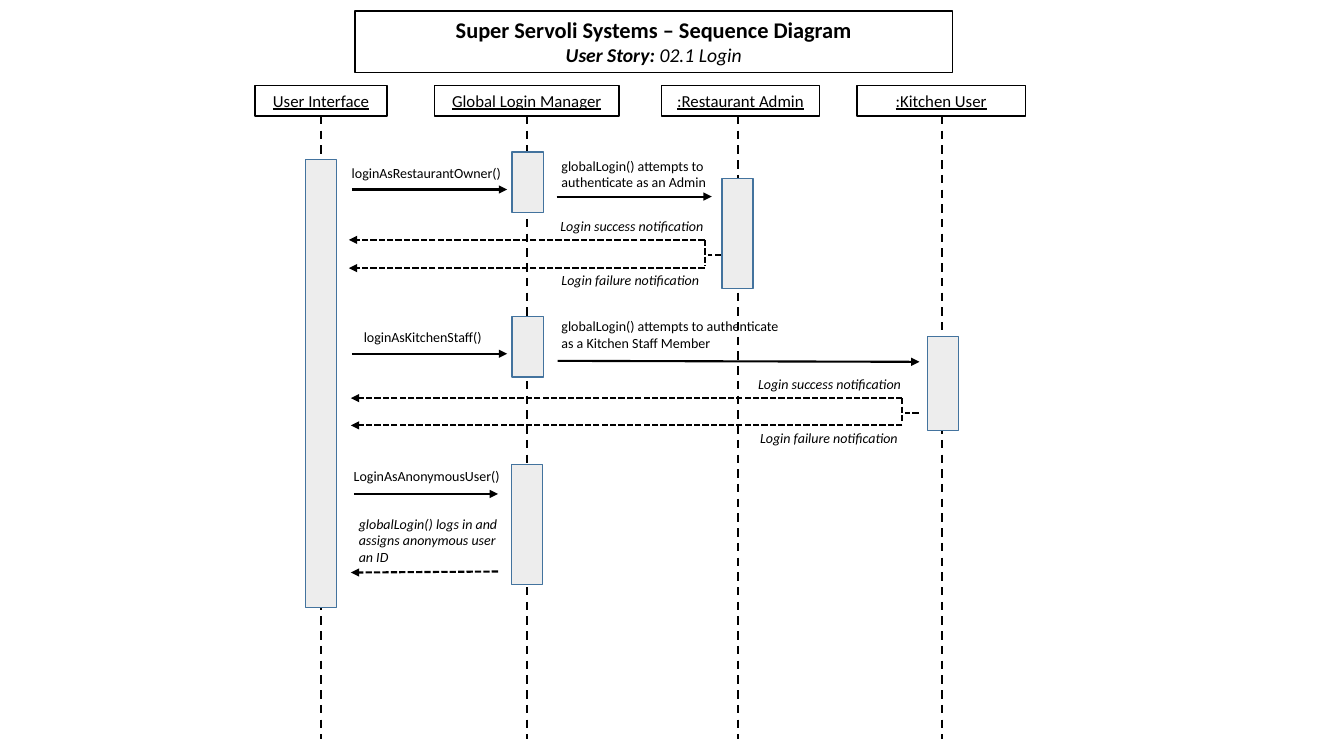
from pptx import Presentation
from pptx.dml.color import RGBColor
from pptx.enum.dml import MSO_LINE
from pptx.enum.shapes import MSO_CONNECTOR, MSO_SHAPE
from pptx.enum.text import MSO_ANCHOR, PP_ALIGN
from pptx.oxml.ns import qn
from pptx.util import Inches, Pt
from lxml import etree

BLACK = RGBColor(0x00, 0x00, 0x00)
BAR_FILL = RGBColor(0xED, 0xED, 0xED)
BAR_LINE = RGBColor(0x43, 0x73, 0x9E)
FONT = "Calibri"
RECTANGLE = MSO_SHAPE.RECTANGLE
STRAIGHT = MSO_CONNECTOR.STRAIGHT
LONG_DASH = MSO_LINE.DASH
SHORT_DASH = MSO_LINE.SQUARE_DOT
CENTER = PP_ALIGN.CENTER
TOP = MSO_ANCHOR.TOP

deck = Presentation()
deck.slide_width = Inches(13.33)
deck.slide_height = Inches(7.5)
page = deck.slides.add_slide(deck.slide_layouts[6])


def add_line(start, end, dash=None, arrow=False):
    """Draw a straight black line, optionally dashed or with an arrowhead."""
    points = [Inches(value) for value in (*start, *end)]
    line = page.shapes.add_connector(STRAIGHT, *points)
    line.line.color.rgb = BLACK
    line.line.width = Pt(1.5)
    if dash:
        line.line.dash_style = dash
    if arrow:
        etree.SubElement(line.line._get_or_add_ln(), qn("a:tailEnd"), type="triangle")
    etree.SubElement(line._element.spPr, qn("a:effectLst"))


def add_text(paragraph, text, size, bold=False, italic=False, underline=False):
    """Append one formatted run to a paragraph."""
    span = paragraph.add_run()
    span.text = text
    span.font.name = FONT
    span.font.size = Pt(size)
    span.font.color.rgb = BLACK
    span.font.bold = bold
    span.font.italic = italic
    span.font.underline = underline


# Title and participant headers: left, top, width, height, spans
headers = [
    (2.53, 0.85, 1.31, 0.3, "User Interface"),
    (4.31, 0.85, 1.83, 0.3, "Global Login Manager"),
    (6.56, 0.85, 1.57, 0.3, ":Restaurant Admin"),
    (8.5, 0.85, 1.67, 0.3, ":Kitchen User"),
    (3.52, 0.11, 5.93, 0.61, None),
]
for left, top, width, height, name in headers:
    box = page.shapes.add_textbox(Inches(left), Inches(top), Inches(width), Inches(height))
    box.line.color.rgb = BLACK
    box.line.width = Pt(1)
    box.text_frame.word_wrap = True
    box.text_frame.vertical_anchor = TOP
    paragraph = box.text_frame.paragraphs[0]
    paragraph.alignment = CENTER
    if name:
        add_text(paragraph, name, 12, underline=True)
    else:
        add_text(paragraph, "Super Servoli Systems – Sequence Diagram", 16, bold=True)
        paragraph.add_line_break()
        add_text(paragraph, "User Story: ", 14, bold=True, italic=True)
        add_text(paragraph, "02.1 Login", 14, italic=True)

for x in (3.18, 5.23, 7.32, 9.34):
    add_line((x, 1.15), (x, 7.33), LONG_DASH)

# Activation bars: left, top, height
activations = [
    (3.03, 1.58, 4.45),
    (5.08, 1.51, 0.6),
    (7.16, 1.77, 1.09),
    (5.08, 3.14, 0.6),
    (9.2, 3.34, 0.93),
    (5.07, 4.61, 1.19),
]
for left, top, height in activations:
    bar = page.shapes.add_shape(
        RECTANGLE, Inches(left), Inches(top), Inches(0.31), Inches(height))
    bar.shadow.inherit = False
    bar.fill.solid()
    bar.fill.fore_color.rgb = BAR_FILL
    bar.line.color.rgb = BAR_LINE
    bar.line.width = Pt(1)

# Calls between participants: start, end
calls = [
    ((3.49, 1.88), (5.03, 1.88)),
    ((5.52, 1.95), (7.06, 1.95)),
    ((3.49, 3.51), (5.03, 3.51)),
    ((5.53, 3.58), (9.12, 3.59)),
    ((3.51, 4.9), (4.94, 4.9)),
]
for start, end in calls:
    add_line(start, end, arrow=True)

# Replies fork into success and failure: fork x, bar x, success y, failure y, end x
replies = [
    (6.99, 7.15, 2.38, 2.66, 3.46),
    (8.95, 9.11, 3.95, 4.22, 3.48),
]
for fork, source, success, failure, end in replies:
    add_line((fork, success), (end, success), SHORT_DASH, arrow=True)
    add_line((fork, failure), (end, failure), SHORT_DASH, arrow=True)
    add_line((fork, success), (fork, failure - 0.02), SHORT_DASH)
    add_line((source, success + 0.15), (fork + 0.03, success + 0.15), SHORT_DASH)
add_line((4.94, 5.67), (3.48, 5.68), SHORT_DASH, arrow=True)

# Message labels: left, top, width, height, text, italic
messages = [
    (3.39, 1.58, 1.92, 0.27, "loginAsRestaurantOwner()", False),
    (5.47, 1.51, 2.09, 0.44, "globalLogin() attempts to authenticate as an Admin", False),
    (5.46, 2.11, 1.63, 0.27, "Login success notification", True),
    (5.47, 2.64, 1.63, 0.27, "Login failure notification", True),
    (3.51, 3.21, 1.92, 0.27, "loginAsKitchenStaff()", False),
    (5.47, 3.1, 2.41, 0.44,
     "globalLogin() attempts to authenticate as a Kitchen Staff Member", False),
    (7.42, 3.68, 1.63, 0.27, "Login success notification", True),
    (7.44, 4.21, 1.63, 0.27, "Login failure notification", True),
    (3.41, 4.59, 1.68, 0.27, "LoginAsAnonymousUser()", False),
    (3.46, 5.06, 1.68, 0.61, "globalLogin() logs in and assigns anonymous user an ID", True),
]
for left, top, width, height, text, italic in messages:
    box = page.shapes.add_textbox(Inches(left), Inches(top), Inches(width), Inches(height))
    box.text_frame.word_wrap = True
    add_text(box.text_frame.paragraphs[0], text, 10, italic=italic)

deck.save("out.pptx")
